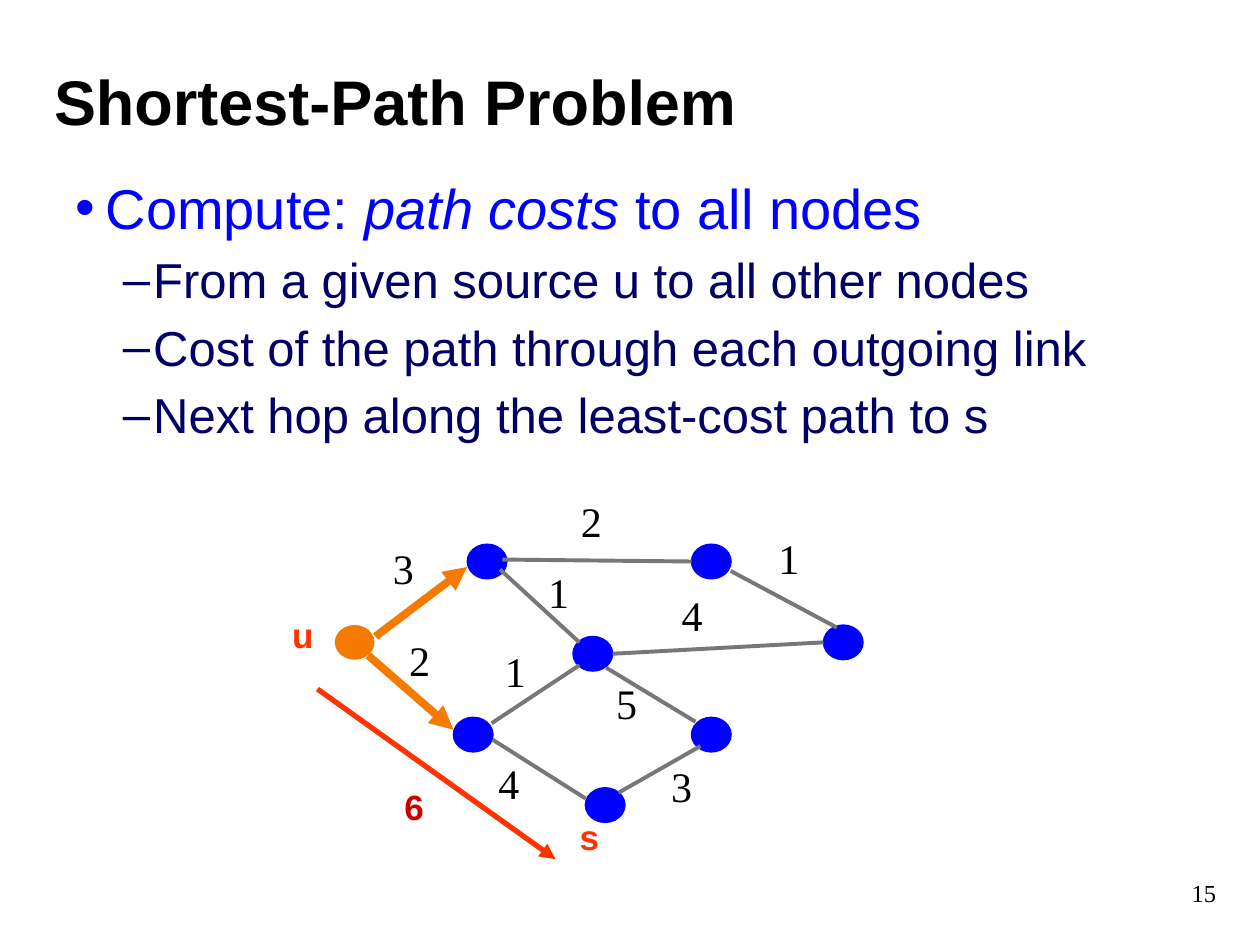
from lxml.etree import SubElement
from pptx import Presentation
from pptx.dml.color import RGBColor
from pptx.enum.shapes import MSO_CONNECTOR as CONNECTOR, MSO_SHAPE as SHAPE
from pptx.enum.text import MSO_ANCHOR as ANCHOR, MSO_AUTO_SIZE as AUTO_SIZE, PP_ALIGN as ALIGN
from pptx.oxml.ns import qn
from pptx.util import Cm, Pt

COLORS = {
    "black": "000000", "blue": "0000FF", "navy": "000066", "orange": "F47A00",
    "gray": "777777", "red": "FF3300", "dark_red": "CC0000",
}
SANS, SERIF = "Arial", "Times New Roman"
TOP, LEFT, BOTTOM, RIGHT = range(4)  # connection sites


def rgb(name):
    return RGBColor.from_string(COLORS[name])


def style_run(run, size, color, font=SANS, bold=False, italic=False):
    run.font.size = Pt(size)
    run.font.name = font
    run.font.bold = bold
    run.font.italic = italic
    run.font.color.rgb = rgb(color)


def add_text(slide, box, text, size, color, font=SANS, bold=False,
             align=ALIGN.LEFT, anchor=ANCHOR.TOP, wrap=True):
    text_frame = slide.shapes.add_textbox(*map(Cm, box)).text_frame
    text_frame.word_wrap = wrap
    text_frame.auto_size = AUTO_SIZE.NONE if wrap else AUTO_SIZE.SHAPE_TO_FIT_TEXT
    text_frame.vertical_anchor = anchor
    text_frame.text = text
    paragraph = text_frame.paragraphs[0]
    paragraph.alignment = align
    style_run(paragraph.runs[0], size, color, font, bold)


def set_bullet(paragraph, symbol, color, margin, hanging):
    properties = paragraph._p.get_or_add_pPr()
    properties.set("marL", str(Cm(margin)))
    properties.set("indent", str(-Cm(hanging)))
    bullet_color = SubElement(properties, qn("a:buClr"))
    SubElement(bullet_color, qn("a:srgbClr"), val=COLORS[color])
    SubElement(properties, qn("a:buFont"), typeface=SANS)
    SubElement(properties, qn("a:buChar"), char=symbol)


def add_body(slide, box):
    text_frame = slide.shapes.add_textbox(*map(Cm, box)).text_frame
    text_frame.word_wrap = True

    # Main point
    paragraph = text_frame.paragraphs[0]
    paragraph.space_before = Pt(3)
    set_bullet(paragraph, "•", "blue", 0.61, 0.61)
    for text, italic in (("Compute: ", False), ("path costs", True), (" to all nodes", False)):
        run = paragraph.add_run()
        run.text = text
        style_run(run, 32, "blue", italic=italic)

    # Details
    for text in ("From a given source u to all other nodes",
                 "Cost of the path through each outgoing link",
                 "Next hop along the least-cost path to s"):
        paragraph = text_frame.add_paragraph()
        paragraph.text = text
        paragraph.level = 1
        paragraph.space_before = Pt(5)
        set_bullet(paragraph, "–", "navy", 1.57, 0.61)
        style_run(paragraph.runs[0], 28, "navy")


def add_node(slide, x, y, color, outlined):
    width, height = 0.8, 0.7
    node = slide.shapes.add_shape(
        SHAPE.OVAL, Cm(x - width / 2), Cm(y - height / 2), Cm(width), Cm(height))
    node.shadow.inherit = False
    node.fill.solid()
    node.fill.fore_color.rgb = rgb(color)
    if outlined:
        node.line.color.rgb = rgb(color)
        node.line.width = Pt(0.75)
    else:
        node.line.fill.background()
    return node


def add_line(slide, x1, y1, x2, y2, color, width, arrow=False):
    line = slide.shapes.add_connector(CONNECTOR.STRAIGHT, Cm(x1), Cm(y1), Cm(x2), Cm(y2))
    line.line.color.rgb = rgb(color)
    line.line.width = Pt(width)
    if arrow:
        SubElement(line.line._get_or_add_ln(), qn("a:tailEnd"), type="triangle")
    SubElement(line._element.spPr, qn("a:effectLst"))
    return line


def add_graph(slide, left, top):
    # Nodes, by centre
    centres = {
        "u": (1.55, 3.15), "lower left": (3.94, 5.01), "upper left": (4.22, 1.52),
        "hub": (6.35, 3.38), "lower right": (8.74, 5.01), "upper right": (8.74, 1.52),
        "s": (6.6, 6.43), "far right": (11.4, 3.15),
    }
    nodes = {
        name: add_node(slide, left + x, top + y,
                       "orange" if name == "u" else "blue", name != "u")
        for name, (x, y) in centres.items()
    }

    # Links: ends, cost, place of the cost
    first_hops = [
        ((1.97, 3.03, 3.82, 1.63), "3", (2.07, 1.02)),
        ((1.82, 3.41, 3.54, 4.91), "2", (2.4, 2.87)),
    ]
    other_links = [
        ((4.48, 1.68, 6.08, 3.15), "1", (5.2, 1.5)),
        ((4.33, 5.11, 6.21, 6.3), "4", (4.2, 5.34)),
        ((4.31, 4.78, 6.08, 3.61), "1", (4.33, 3.08)),
        ((6.62, 3.66, 8.42, 4.75), "5", (6.57, 3.74)),
        ((6.87, 6.18, 8.52, 5.24), "3", (7.68, 5.41)),
        ((6.75, 3.38, 11, 3.15), "4", (7.89, 1.96)),
        ((4.53, 1.48, 8.34, 1.52), "2", (5.86, 0.06)),
        ((9.13, 1.71, 11.27, 2.85), "1", (9.84, 0.82)),
    ]
    lines = []
    for links, style in ((first_hops, ("orange", 4.5, True)), (other_links, ("gray", 2.25))):
        for (x1, y1, x2, y2), cost, (x, y) in links:
            lines.append(add_line(slide, left + x1, top + y1, left + x2, top + y2, *style))
            add_text(slide, (left + x, top + y, 0.91, 1.27), cost, 24, "black", SERIF, wrap=False)
    hub_link, top_link = lines[7:9]
    hub_link.begin_connect(nodes["hub"], RIGHT)
    hub_link.end_connect(nodes["far right"], LEFT)
    top_link.end_connect(nodes["upper right"], LEFT)

    # Path from u to s with its total cost
    add_line(slide, left + 0.8, top + 4.09, left + 5.6, top + 7.52, "red", 3, True)
    for text, x, y, color in (("u", 0.04, 2.44, "red"), ("s", 5.83, 6.51, "red"),
                              ("6", 2.3, 5.92, "dark_red")):
        add_text(slide, (left + x, top + y, 0.9, 1.12), text, 20, color,
                 bold=True, align=ALIGN.CENTER, wrap=False)


def main():
    presentation = Presentation()
    presentation.slide_width, presentation.slide_height = Cm(25.4), Cm(19.05)
    slide = presentation.slides.add_slide(presentation.slide_layouts[6])

    add_text(slide, (22.23, 17.58, 2.54, 1.07), "15", 14, "black", SERIF, align=ALIGN.RIGHT)
    add_text(slide, (0.84, 1.07, 22.4, 1.9), "Shortest-Path Problem", 36, "black",
             bold=True, anchor=ANCHOR.MIDDLE)
    add_body(slide, (1.27, 3.38, 23.5, 15.24))
    add_graph(slide, 5.6, 9.8)

    presentation.save("out.pptx")


if __name__ == "__main__":
    main()
